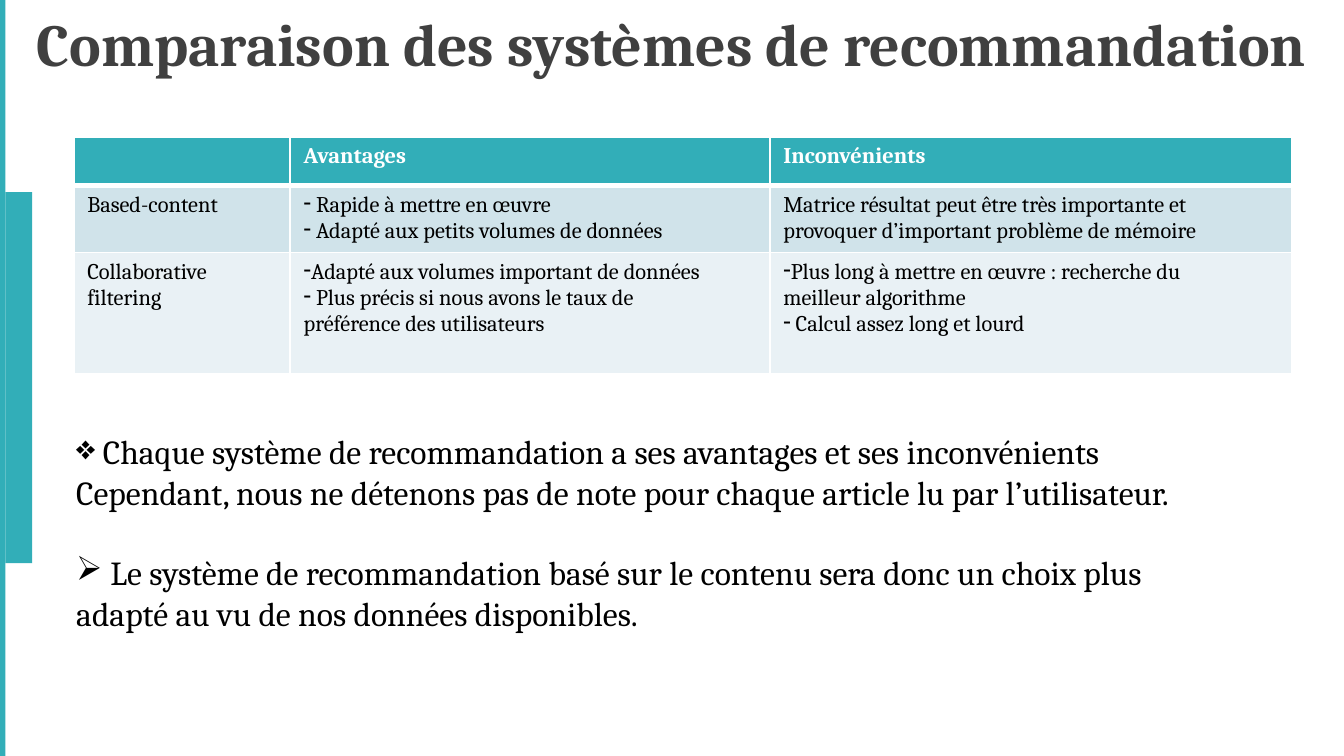
from dataclasses import dataclass
from lxml import etree
from pptx import Presentation
from pptx import util as u
from pptx.dml.color import RGBColor
from pptx.enum import shapes, text
from pptx.oxml import ns

Pt = u.Pt
FONT = "Cambria"
TEAL, WHITE, BLACK = "32AEB8", "FFFFFF", "000000"


@dataclass
class Box:
    left: float
    top: float
    width: float
    height: float

    def lengths(self) -> tuple:
        return Pt(self.left), Pt(self.top), Pt(self.width), Pt(self.height)


@dataclass
class Para:
    text: str
    bullet: str = ""
    before: float = 0


@dataclass
class Row:
    height: float
    fill: str
    color: str
    bold: bool
    bottom: float
    cells: list


def rgb(value: str) -> RGBColor:
    return RGBColor.from_string(value)


def write(tf, paras: list, size: float, color: str, bold: bool = False) -> None:
    for i, para in enumerate(paras):
        p = tf.add_paragraph() if i else tf.paragraphs[0]
        p.text = para.text
        p.font.name, p.font.size, p.font.bold = FONT, Pt(size), bold
        p.font.color.rgb = rgb(color)
        p.space_before = Pt(para.before)
        if para.bullet:
            bullet = etree.Element(ns.qn("a:buChar"), char=para.bullet)
            p._p.get_or_add_pPr().insert_element_before(bullet, "a:tabLst", "a:defRPr")


def add_bar(slide, box: Box) -> None:
    sp = slide.shapes.add_shape(shapes.MSO_SHAPE.RECTANGLE, *box.lengths())
    sp.shadow.inherit = False
    sp.fill.solid()
    sp.fill.fore_color.rgb = rgb(TEAL)
    sp.line.fill.background()


def add_borders(cell, bottom: float, top: float) -> None:
    props = cell._tc.get_or_add_tcPr()
    widths = {"lnL": 1, "lnR": 1, "lnT": top, "lnB": bottom}
    for i, (side, width) in enumerate(widths.items()):
        ln = etree.Element(ns.qn(f"a:{side}"), w=str(Pt(width)))
        fill = etree.SubElement(ln, ns.qn("a:solidFill"))
        etree.SubElement(fill, ns.qn("a:srgbClr"), val=WHITE)
        props.insert(i, ln)


def add_comparison(slide, box: Box, widths: list, rows: list) -> None:
    table = slide.shapes.add_table(len(rows), len(widths), *box.lengths()).table
    for column, width in zip(table.columns, widths):
        column.width = Pt(width)
    top = 1
    for r, row in enumerate(rows):
        table.rows[r].height = Pt(row.height)
        for c, paras in enumerate(row.cells):
            cell = table.cell(r, c)
            cell.fill.solid()
            cell.fill.fore_color.rgb = rgb(row.fill)
            write(cell.text_frame, paras, 12, row.color, row.bold)
            add_borders(cell, row.bottom, top)
        top = row.bottom


ROWS = [
    Row(26, TEAL, WHITE, True, 3,
        [[Para("")], [Para("Avantages")], [Para("Inconvénients")]]),
    Row(36, "D0E3EA", BLACK, False, 1, [
        [Para("Based-content")],
        [Para(" Rapide à mettre en œuvre", "-"),
         Para(" Adapté aux petits volumes de données", "-")],
        [Para("Matrice résultat peut être très importante et "
              "provoquer d’important problème de mémoire")],
    ]),
    Row(65, "E9F1F5", BLACK, False, 1, [
        [Para("Collaborative filtering")],
        [Para("Adapté aux volumes important de données", "-"),
         Para(" Plus précis si nous avons le taux de ", "-"),
         Para("préférence des utilisateurs")],
        [Para("Plus long à mettre en œuvre : recherche du ", "-"),
         Para("meilleur algorithme"),
         Para(" Calcul assez long et lourd", "-")],
    ]),
]

CONCLUSION = [
    Para(" Chaque système de recommandation a ses avantages et ses inconvénients", "❖"),
    Para("Cependant, nous ne détenons pas de note pour chaque article lu par l’utilisateur. "),
    Para(" Le système de recommandation basé sur le contenu sera donc un choix plus "
         "adapté au vu de nos données disponibles.", "➢", 21.6),
]

prs = Presentation()
prs.slide_width, prs.slide_height = Pt(720), Pt(405)
s = prs.slides.add_slide(prs.slide_layouts[5])

for bar in (Box(0, 0, 2.9, 405), Box(2.9, 103, 14.4, 198.7)):
    add_bar(s, bar)

title = s.shapes.title
title.left, title.top, title.width, title.height = Box(0, 0, 720, 56).lengths()
tf = title.text_frame
tf.auto_size = text.MSO_AUTO_SIZE.NONE
tf.vertical_anchor = text.MSO_ANCHOR.TOP
write(tf, [Para("Comparaison des systèmes de recommandation")], 32, "404040", True)
tf.paragraphs[0].alignment = text.PP_ALIGN.CENTER

add_comparison(s, Box(39.6, 73.4, 652.3, 127), [115.9, 257, 279.4], ROWS)

sp = s.shapes.add_textbox(*Box(33.8, 227.5, 635.8, 138.2).lengths())
tf = sp.text_frame
tf.word_wrap = True
write(tf, CONCLUSION, 18, BLACK)

prs.save("out.pptx")
